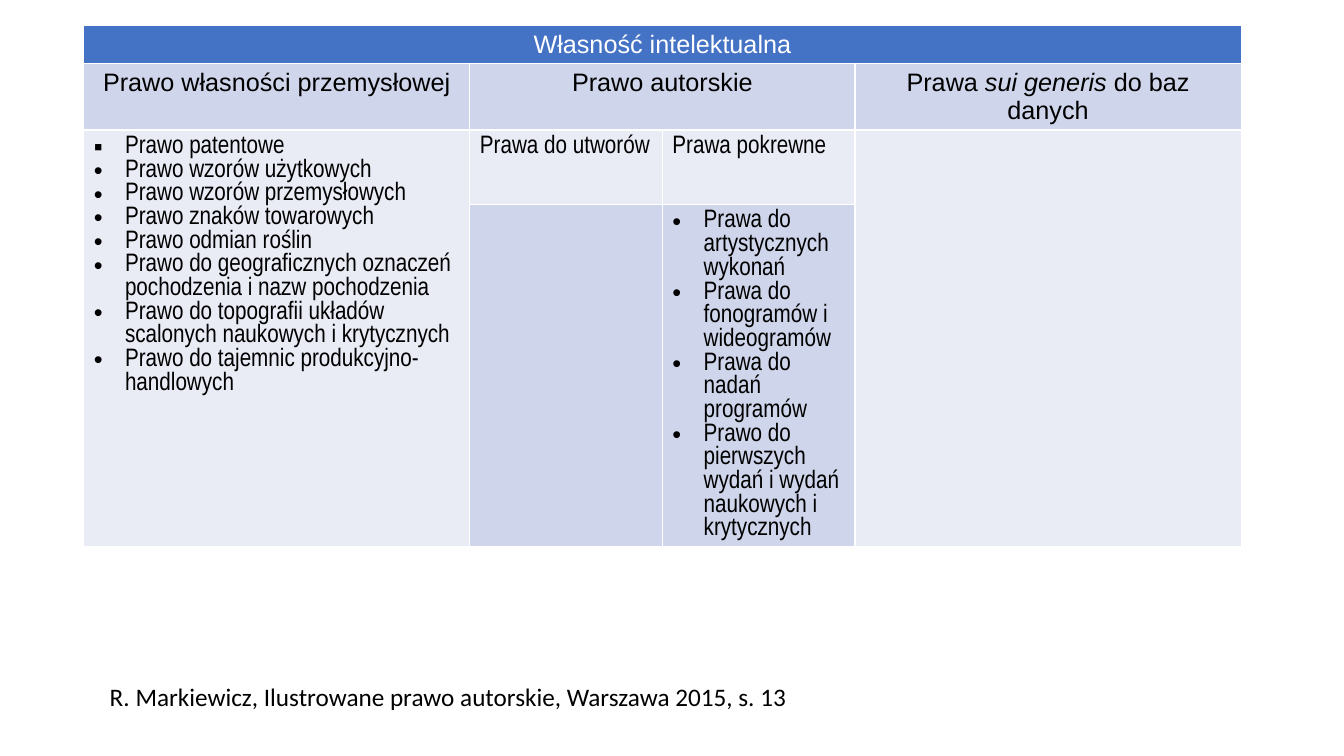
from lxml.etree import SubElement
from pptx import Presentation
from pptx.dml.color import RGBColor
from pptx.enum.text import MSO_AUTO_SIZE, PP_ALIGN
from pptx.oxml.ns import qn
from pptx.util import Inches, Pt

BLACK = RGBColor(0x00, 0x00, 0x00)
WHITE = RGBColor(0xFF, 0xFF, 0xFF)
BLUE = RGBColor(0x44, 0x72, 0xC4)
MID_BLUE = RGBColor(0xCF, 0xD5, 0xEA)
PALE_BLUE = RGBColor(0xE9, 0xEB, 0xF5)

COLUMN_WIDTHS = [3.83, 1.91, 1.91, 3.83]
ROW_HEIGHTS = [0.32, 0.57, 0.74, 2.84]
ROW_FILLS = [BLUE, MID_BLUE, PALE_BLUE, MID_BLUE]
MERGES = [(0, 0, 0, 3), (1, 1, 1, 2), (2, 0, 3, 0), (2, 3, 3, 3)]

HEADINGS = {
    (0, 0): ["Własność intelektualna"],
    (1, 0): ["Prawo własności przemysłowej"],
    (1, 1): ["Prawo autorskie"],
    (1, 3): ["Prawa ", "sui generis ", "do baz danych"],
}
SUBHEADINGS = {(2, 1): "Prawa do utworów", (2, 2): "Prawa pokrewne"}
LISTS = {
    (2, 0): [
        "Prawo patentowe",
        "Prawo wzorów użytkowych",
        "Prawo wzorów przemysłowych",
        "Prawo znaków towarowych",
        "Prawo odmian roślin",
        "Prawo do geograficznych oznaczeń pochodzenia i nazw pochodzenia",
        "Prawo do topografii układów scalonych naukowych i krytycznych",
        "Prawo do tajemnic produkcyjno-handlowych",
    ],
    (3, 2): [
        "Prawa do artystycznych wykonań",
        "Prawa do fonogramów i wideogramów",
        "Prawa do nadań programów",
        "Prawo do pierwszych wydań i wydań naukowych i krytycznych",
    ],
}


def set_font(paragraph, name, color=BLACK):
    paragraph.font.name = name
    paragraph.font.size = Pt(18)
    paragraph.font.bold = False
    paragraph.font.color.rgb = color


def add_bullet(paragraph, char):
    properties = paragraph._p.get_or_add_pPr()
    properties.set("marL", str(Inches(0.31)))
    properties.set("indent", str(-Inches(0.31)))
    SubElement(properties, qn("a:buFont"), typeface="Arial")
    SubElement(properties, qn("a:buChar"), char=char)


prs = Presentation()
prs.slide_width = Inches(13.33)
prs.slide_height = Inches(7.5)
slide = prs.slides.add_slide(prs.slide_layouts[6])

rights_frame = slide.shapes.add_table(
    4, 4, Inches(0.83), Inches(0.25), Inches(11.48), Inches(6.14))
rights = rights_frame.table
for column, width in zip(rights.columns, COLUMN_WIDTHS):
    column.width = Inches(width)
for row, height, fill in zip(rights.rows, ROW_HEIGHTS, ROW_FILLS):
    row.height = Inches(height)
    for cell in row.cells:
        for side in ("L", "R", "T", "B"):
            border = SubElement(cell._tc.get_or_add_tcPr(), qn(f"a:ln{side}"), w=str(Pt(1)))
            border_fill = SubElement(border, qn("a:solidFill"))
            SubElement(border_fill, qn("a:srgbClr"), val=str(WHITE))
        cell.fill.solid()
        cell.fill.fore_color.rgb = fill
rights_frame.height = Inches(6.14)

for top, left, bottom, right in MERGES:
    rights.cell(top, left).merge(rights.cell(bottom, right))

for position, parts in HEADINGS.items():
    heading = rights.cell(*position).text_frame.paragraphs[0]
    heading.alignment = PP_ALIGN.CENTER
    set_font(heading, "Arial", WHITE if position == (0, 0) else BLACK)
    for part in parts:
        run = heading.add_run()
        run.text = part
        if part == "sui generis ":
            run.font.italic = True

for position, text in SUBHEADINGS.items():
    subheading = rights.cell(*position).text_frame.paragraphs[0]
    subheading.text = text
    set_font(subheading, "Arial Narrow")

for position, items in LISTS.items():
    frame = rights.cell(*position).text_frame
    frame.text = "\n".join(items)
    for item in frame.paragraphs:
        add_bullet(item, "▪" if item.text == "Prawo patentowe" else "•")
        set_font(item, "Arial Narrow")

source = slide.shapes.add_textbox(Inches(0.99), Inches(6.71), Inches(10.5), Inches(0.4)).text_frame
source.word_wrap = True
source.auto_size = MSO_AUTO_SIZE.SHAPE_TO_FIT_TEXT
source.text = "R. Markiewicz, Ilustrowane prawo autorskie, Warszawa 2015, s. 13"
set_font(source.paragraphs[0], "Calibri")

prs.save("out.pptx")
